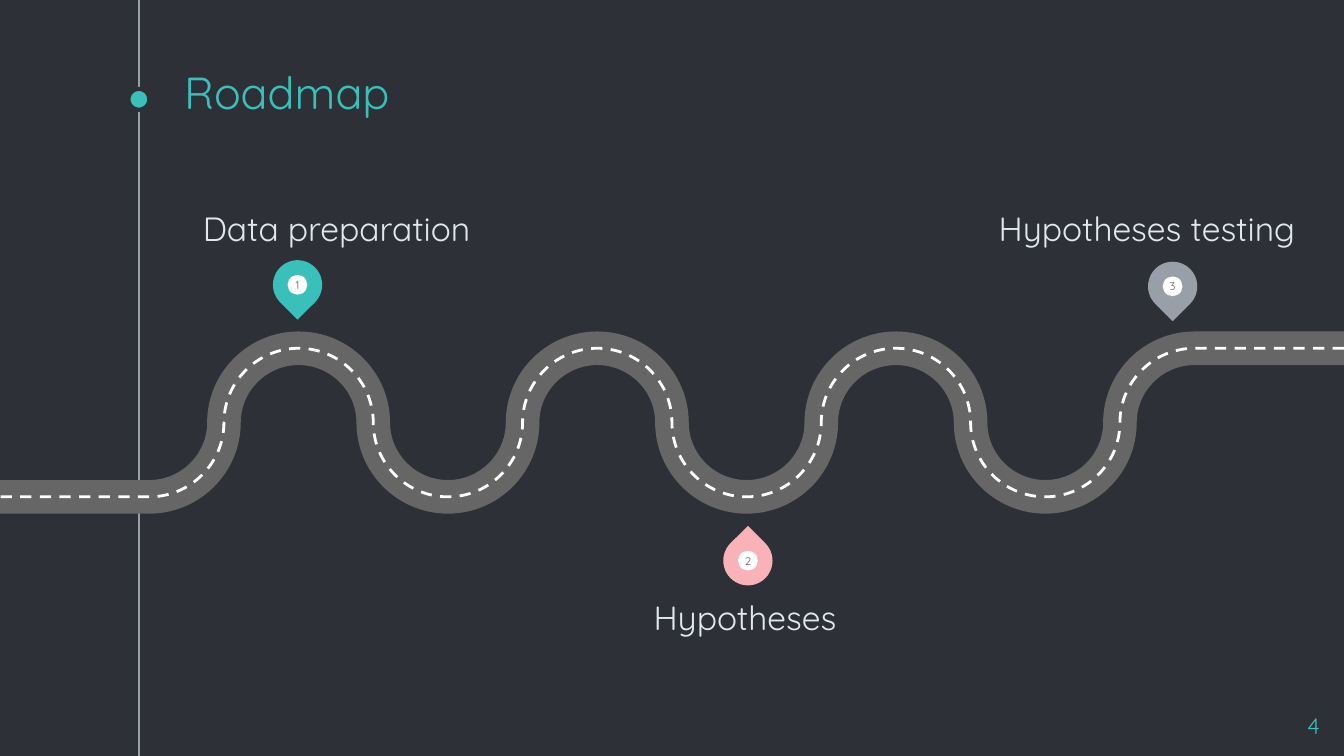
from dataclasses import dataclass
from math import cos, pi

from lxml.etree import SubElement
from pptx import Presentation
from pptx.dml.color import RGBColor
from pptx.enum.dml import MSO_LINE
from pptx.enum.shapes import MSO_CONNECTOR, MSO_SHAPE
from pptx.enum.text import MSO_ANCHOR, PP_ALIGN
from pptx.oxml.ns import qn
from pptx.util import Pt


@dataclass(frozen=True)
class Theme:
    font: str = "Quicksand"
    back: str = "2E3037"
    teal: str = "39C0BA"
    gray: str = "999FA9"
    pink: str = "FAB2B9"
    road: str = "666666"
    white: str = "FFFFFF"
    pale: str = "E2E7EE"
    head: int = 24
    label: int = 18
    page: int = 12
    pin: int = 6


theme = Theme()


def write(shape, text, size, color, align=PP_ALIGN.LEFT, anchor=MSO_ANCHOR.TOP, inset=0):
    frame = shape.text_frame
    frame.word_wrap = True
    frame.vertical_anchor = anchor
    frame.margin_left = frame.margin_right = Pt(inset)
    frame.margin_top = frame.margin_bottom = Pt(inset)
    frame.text = text
    line = frame.paragraphs[0]
    line.alignment = align
    line.font.name = theme.font
    line.font.size = Pt(size)
    line.font.color.rgb = RGBColor.from_string(color)


def paint(shape, fill=None, line=None, width=0):
    shape.shadow.inherit = False
    if fill:
        shape.fill.solid()
        shape.fill.fore_color.rgb = RGBColor.from_string(fill)
    else:
        shape.fill.background()
    if line:
        shape.line.color.rgb = RGBColor.from_string(line)
        shape.line.width = Pt(width)
    else:
        shape.line.fill.background()


deck = Presentation()
deck.slide_width, deck.slide_height = Pt(720), Pt(405)
slide = deck.slides.add_slide(deck.slide_layouts[5])
slide.background.fill.solid()
slide.background.fill.fore_color.rgb = RGBColor.from_string(theme.back)
shapes = slide.shapes

# Side rule and title
rule = shapes.add_connector(MSO_CONNECTOR.STRAIGHT, Pt(74.4), 0, Pt(74.4), Pt(405))
rule.line.color.rgb = RGBColor.from_string(theme.gray)
rule.line.width = Pt(0.75)
SubElement(rule._element.spPr, qn("a:effectLst"))

dot = shapes.add_shape(MSO_SHAPE.OVAL, Pt(68.8), Pt(47.6), Pt(11.2), Pt(11.2))
paint(dot, theme.teal, theme.back, 2.25)

title = shapes.title
title.left, title.top, title.width, title.height = Pt(91.5), Pt(43.2), Pt(540), Pt(27.4)
write(title, "Roadmap", theme.head, theme.teal, anchor=MSO_ANCHOR.BOTTOM, inset=7.2)

page = shapes.add_textbox(Pt(671), Pt(374.4), Pt(43.2), Pt(24.5))
write(page, "4", theme.page, theme.teal, align=PP_ALIGN.RIGHT, inset=7.2)

# Road: quarter bends from right to left between two straight ends
radius, rise, middle, bends = 40, 39.8, 226.4, 14
track = [(720, middle - rise)]
for bend in range(bends + 1):
    track.append((640 - radius * bend, middle - rise * cos(bend * pi / 2)))
track.append((0, middle + rise))
track = [(Pt(x), Pt(y)) for x, y in track]
left, top = 0, track[0][1]
pull = 0.55

for color, width, dash in ((theme.road, 18, None), (theme.white, 1.5, MSO_LINE.DASH)):
    pen = shapes.build_freeform(*track[0])
    pen.add_line_segments(track[1:], close=False)
    road = pen.convert_to_shape()
    paint(road, line=color, width=width)
    road.line.dash_style = dash
    # Round each bend: swap its straight segment for a cubic curve
    steps = list(road._element.iter(qn("a:lnTo")))
    for bend, step in enumerate(steps[1:-1]):
        (x1, y1), (x2, y2) = track[bend + 1], track[bend + 2]
        across, down = pull * (x2 - x1), pull * (y2 - y1)
        if bend % 2 == 0:
            knots = [(x1 + across, y1), (x2, y2 - down)]
        else:
            knots = [(x1, y1 + down), (x2 - across, y2)]
        step.tag = qn("a:cubicBezTo")
        for spot, (x, y) in enumerate(knots):
            knot = SubElement(step, qn("a:pt"), x=str(round(x - left)), y=str(round(y - top)))
            step.insert(spot, knot)

# Pins: number, center, rotation, color
pins = [
    ("1", 159.4, 152.6, 135, theme.teal),
    ("3", 628.2, 153.4, 135, theme.gray),
    ("2", 400.7, 300.4, 315, theme.pink),
]
for number, x, y, angle, color in pins:
    group = shapes.add_group_shape().shapes
    for kind, size, fill in ((MSO_SHAPE.TEAR, 26.4, color), (MSO_SHAPE.OVAL, 10.6, theme.white)):
        part = group.add_shape(kind, Pt(x - size / 2), Pt(y - size / 2), Pt(size), Pt(size))
        paint(part, fill)
        if kind == MSO_SHAPE.TEAR:
            part.rotation = angle
        else:
            write(part, number, theme.pin, theme.road, PP_ALIGN.CENTER, MSO_ANCHOR.MIDDLE)

# Labels: text, left, top, width, anchor
labels = [
    ("Data preparation", 108.7, 91.2, 148.3, MSO_ANCHOR.BOTTOM),
    ("Hypotheses testing", 535, 91.2, 165, MSO_ANCHOR.BOTTOM),
    ("Hypotheses", 350.1, 319.7, 101.5, MSO_ANCHOR.TOP),
]
for text, x, y, width, anchor in labels:
    box = shapes.add_textbox(Pt(x), Pt(y), Pt(width), Pt(41.8))
    write(box, text, theme.label, theme.pale, anchor=anchor)

deck.save("out.pptx")
